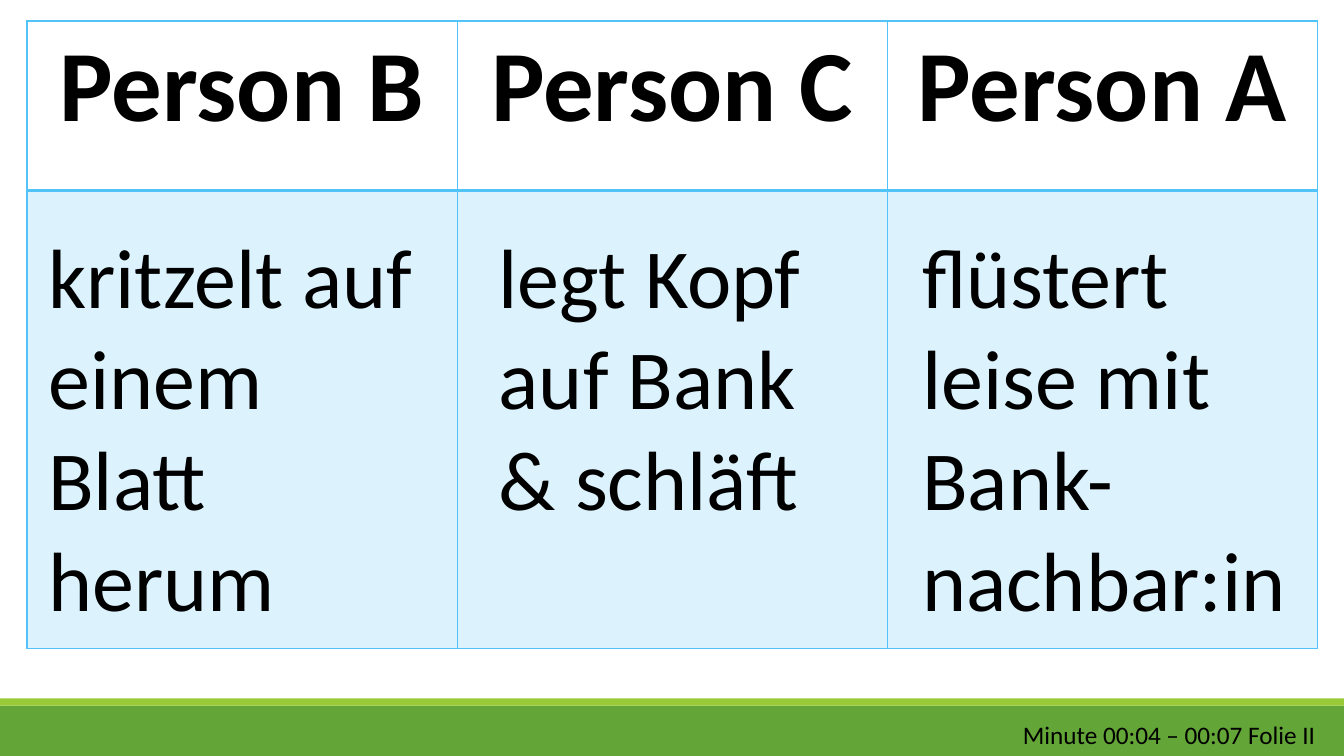
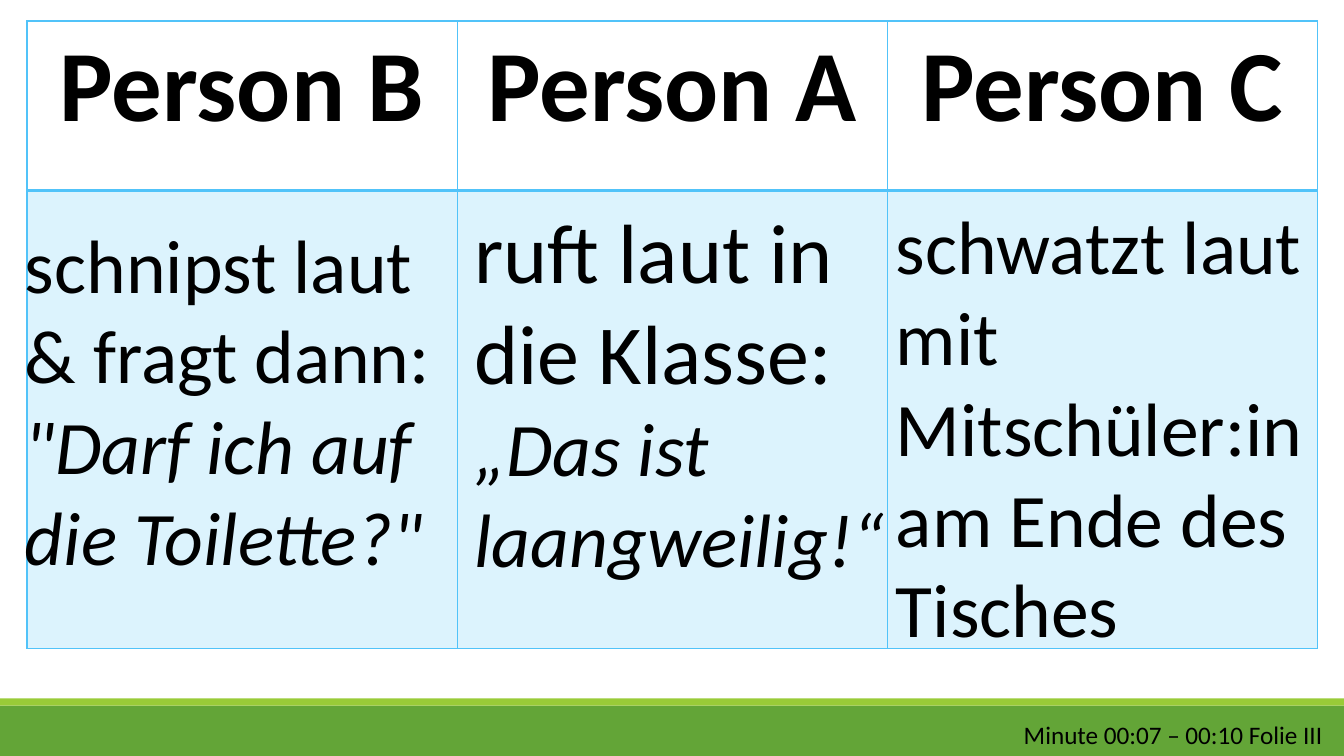
from dataclasses import dataclass
from lxml.etree import SubElement
from pptx import Presentation
from pptx.dml.color import RGBColor as Rgb
from pptx.enum.shapes import MSO_SHAPE as Shape
from pptx.enum.text import MSO_AUTO_SIZE as AutoSize, PP_ALIGN as Align
from pptx.oxml.ns import qn
from pptx.slide import Slide
from pptx.table import _Cell as Cell
from pptx.text.text import _Paragraph as Paragraph
from pptx.util import Cm, Pt


# Theme: colours, type sizes (points) and line widths (points)
@dataclass(frozen=True)
class Theme:
    font: str = "Calibri"
    ink: str = "000000"
    band: str = "63A537"
    band_edge: str = "99CB38"
    accent: str = "51C3F9"
    tint_percent: int = 20
    heading: int = 72
    large: int = 60
    medium: int = 54
    small: int = 18
    thin: int = 1
    thick: int = 2


THEME = Theme()


# Content types, lengths in centimetres
@dataclass(frozen=True)
class Line:
    text: str
    size: int
    bold: bool = False
    italic: bool = False


@dataclass(frozen=True)
class Note:
    left: float
    top: float
    width: float
    height: float
    lines: tuple[Line, ...]


@dataclass(frozen=True)
class RolePage:
    people: tuple[str, ...]
    notes: tuple[Note, ...]


# Shared geometry
PAGE_WIDTH, PAGE_HEIGHT = 33.87, 19.05
TABLE_LEFT, TABLE_TOP, COLUMN_WIDTH = 0.68, 0.53, 10.84
HEADING_HEIGHT, BODY_HEIGHT = 4.27, 11.54
BAND_TOP, EDGE_HEIGHT = 17.78, 0.18


def style_paragraph(para: Paragraph, line: Line) -> None:
    para.text = line.text
    for span in para.runs:
        span.font.name = THEME.font
        span.font.size = Pt(line.size)
        span.font.bold = line.bold
        span.font.italic = line.italic
        span.font.color.rgb = Rgb.from_string(THEME.ink)


def add_band(page: Slide, top: float, height: float, colour: str) -> None:
    band = page.shapes.add_shape(
        Shape.RECTANGLE, 0, Cm(top), Cm(PAGE_WIDTH), Cm(height))
    band.shadow.inherit = False
    band.fill.solid()
    band.fill.fore_color.rgb = Rgb.from_string(colour)
    band.line.fill.background()


def add_note(page: Slide, note: Note) -> None:
    box = page.shapes.add_textbox(
        Cm(note.left), Cm(note.top), Cm(note.width), Cm(note.height))
    frame = box.text_frame
    frame.word_wrap = True
    frame.auto_size = AutoSize.SHAPE_TO_FIT_TEXT
    frame.text = "\n".join(line.text for line in note.lines)
    for para, line in zip(frame.paragraphs, note.lines):
        style_paragraph(para, line)


def set_borders(cell: Cell, top: int, bottom: int) -> None:
    properties = cell._tc.get_or_add_tcPr()
    widths = {"lnL": THEME.thin, "lnR": THEME.thin, "lnT": top, "lnB": bottom}
    for side, width in widths.items():
        border = SubElement(properties, qn(f"a:{side}"), w=str(Pt(width)))
        fill = SubElement(border, qn("a:solidFill"))
        SubElement(fill, qn("a:srgbClr"), val=THEME.accent)


def tint_cell(cell: Cell) -> None:
    cell.fill.solid()
    cell.fill.fore_color.rgb = Rgb.from_string(THEME.accent)
    colour = cell._tc.tcPr.find(qn("a:solidFill")).find(qn("a:srgbClr"))
    SubElement(colour, qn("a:alpha"), val=str(THEME.tint_percent * 1000))


def add_role_table(page: Slide, people: tuple[str, ...]) -> None:
    table = page.shapes.add_table(
        2, len(people), Cm(TABLE_LEFT), Cm(TABLE_TOP),
        Cm(COLUMN_WIDTH * len(people)), Cm(HEADING_HEIGHT + BODY_HEIGHT)).table
    table.first_row = table.horz_banding = False
    table.rows[0].height = Cm(HEADING_HEIGHT)
    table.rows[1].height = Cm(BODY_HEIGHT)
    for index, person in enumerate(people):
        table.columns[index].width = Cm(COLUMN_WIDTH)
        heading, body = table.cell(0, index), table.cell(1, index)
        set_borders(heading, THEME.thin, THEME.thick)
        set_borders(body, THEME.thick, THEME.thin)
        heading.fill.background()
        tint_cell(body)
        para = heading.text_frame.paragraphs[0]
        style_paragraph(para, Line(person, THEME.heading, bold=True))
        para.alignment = Align.CENTER


# Slide content: three roles, their behaviour and the time stamp
ROLE_PAGES = (
    RolePage(("Person B", "Person C", "Person A"), (
        Note(12.32, 5.54, 11.25, 7.95, (
            Line("legt Kopf auf Bank", THEME.large),
            Line("& schläft", THEME.large))),
        Note(22.99, 5.54, 9.98, 10.52, (
            Line("flüstert leise mit Bank-nachbar:in", THEME.large),)),
        Note(25.53, 18.01, 8.18, 1.02, (
            Line("Minute 00:04 – 00:07 Folie II", THEME.small),)),
        Note(0.97, 5.54, 9.98, 10.52, (
            Line("kritzelt auf einem Blatt herum", THEME.large),)),
    )),
    RolePage(("Person B", "Person A", "Person C"), (
        Note(0.38, 5.36, 11.56, 9.5, (
            Line("schnipst laut & fragt dann:", THEME.medium),
            Line('"Darf ich auf die Toilette?"', THEME.medium, italic=True))),
        Note(22.33, 4.9, 10.87, 11.79, (
            Line("schwatzt laut mit Mitschüler:in am Ende des Tisches",
                 THEME.medium),)),
        Note(25.55, 18.01, 8.15, 1.02, (
            Line("Minute 00:07 – 00:10 Folie III", THEME.small),)),
        Note(11.71, 4.9, 10.87, 10.01, (
            Line("ruft laut in die Klasse:", THEME.large),
            Line("„Das ist laangweilig!“", THEME.medium, italic=True))),
    )),
)


def build_deck() -> None:
    deck = Presentation()
    deck.slide_width, deck.slide_height = Cm(PAGE_WIDTH), Cm(PAGE_HEIGHT)
    for role_page in ROLE_PAGES:
        page = deck.slides.add_slide(deck.slide_layouts[6])
        # Footer bands
        add_band(page, BAND_TOP, PAGE_HEIGHT - BAND_TOP, THEME.band)
        add_band(page, BAND_TOP - EDGE_HEIGHT, EDGE_HEIGHT, THEME.band_edge)
        # Roles and their behaviour
        add_role_table(page, role_page.people)
        for note in role_page.notes:
            add_note(page, note)
    deck.save("out.pptx")


build_deck()
